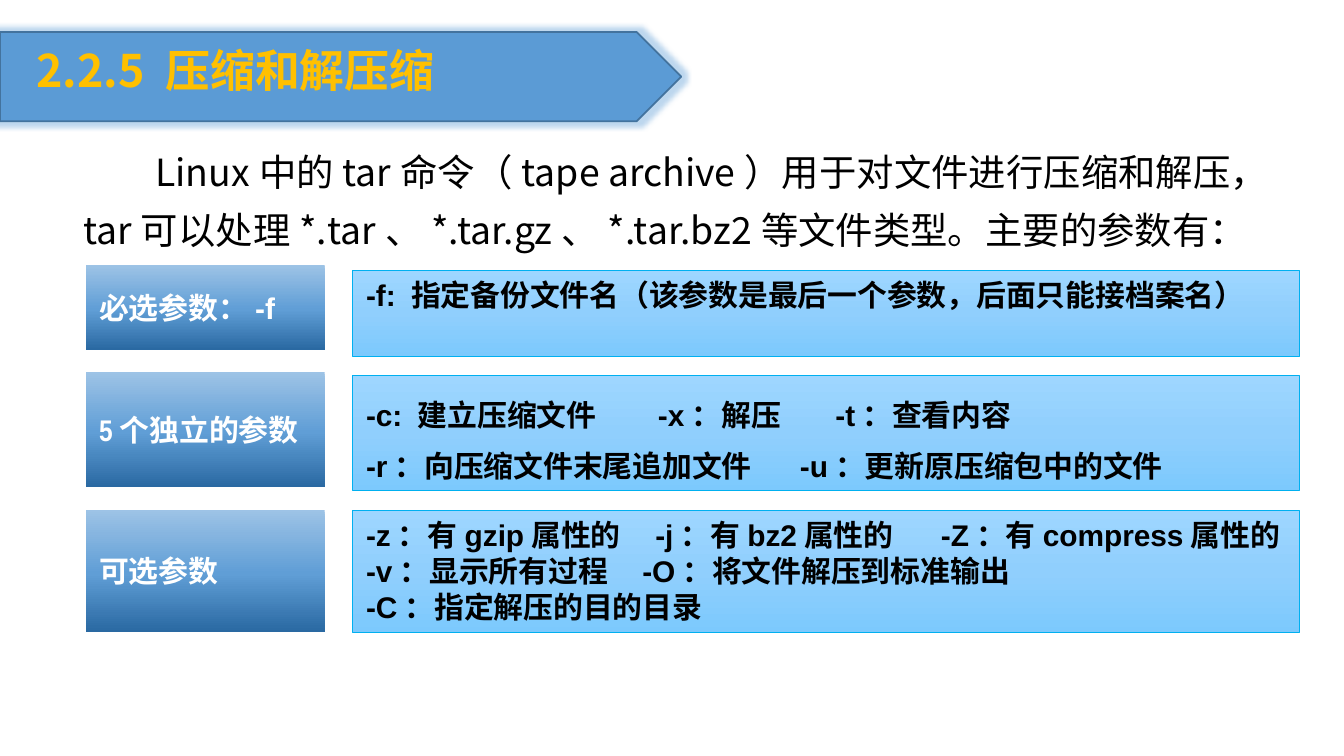
from copy import deepcopy

from pptx import Presentation
from pptx.dml.color import RGBColor
from pptx.enum.shapes import MSO_SHAPE
from pptx.enum.text import MSO_ANCHOR, MSO_AUTO_SIZE, PP_ALIGN
from pptx.oxml import parse_xml
from pptx.oxml.ns import nsdecls, qn
from pptx.util import Pt

RECTANGLE, PENTAGON = MSO_SHAPE.RECTANGLE, MSO_SHAPE.PENTAGON
TOP, MIDDLE = MSO_ANCHOR.TOP, MSO_ANCHOR.MIDDLE
LEFT = PP_ALIGN.LEFT
NO_AUTOFIT = MSO_AUTO_SIZE.NONE

CJK, ARIAL, NARROW = "Noto Sans CJK SC", "Arial", "Arial Narrow"
COLORS = {
    "banner": "5B9BD5",
    "banner_edge": "43739E",
    "title": "FFC000",
    "text": "000000",
    "label_text": "FFFFFF",
    "detail_edge": "00B0F0",
}
LABEL_STOPS = [(0, "9DC3E6"), (0.52, "609ED6"), (1, "2A69A2")]
DETAIL_STOPS = [(0, "9ED6FF"), (0.5, "90CFFD"), (1, "7CC9FD")]

LABEL_LEFT, LABEL_WIDTH = 46, 128
DETAIL_LEFT, DETAIL_WIDTH = 189, 507

TITLE = "2.2.5 压缩和解压缩"
INTRO = (
    "Linux中的tar命令（tape archive）用于对文件进行压缩和解压，"
    "tar可以处理*.tar、*.tar.gz、*.tar.bz2等文件类型。主要的参数有："
)
PARAMETER_ROWS = [
    {
        "label": [("必选参数：", NARROW), ("-f", ARIAL)],
        "label_span": (142, 45.5),
        "detail_span": (144.8, 46),
        "lines": [("-f: 指定备份文件名（该参数是最后一个参数，后面只能接档案名）", [])],
        "spacing": None,
    },
    {
        "label": [("5个独立的参数", NARROW)],
        "label_span": (199.5, 61.5),
        "detail_span": (201.4, 61.6),
        "lines": [
            ("-c: 建立压缩文件\t-x：解压\t-t：查看内容", [156.4, 251.5]),
            ("-r：向压缩文件末尾追加文件\t-u：更新原压缩包中的文件", [232.5]),
        ],
        "spacing": Pt(27),
    },
    {
        "label": [("可选参数", NARROW)],
        "label_span": (273.2, 65.4),
        "detail_span": (273.5, 65.5),
        "lines": [
            ("-z：有gzip属性的\t-j：有bz2属性的\t-Z：有compress属性的", [155, 308]),
            ("-v：显示所有过程\t-O：将文件解压到标准输出", [148]),
            ("-C：指定解压的目的目录", []),
        ],
        "spacing": None,
    },
]


def rgb(name):
    return RGBColor.from_string(COLORS[name])


def style_run(run, size, font, color, bold=True):
    run.font.size = Pt(size)
    run.font.name = font
    run.font.bold = bold
    run.font.color.rgb = rgb(color)
    east_asian = parse_xml(f'<a:ea {nsdecls("a")} typeface="{CJK}"/>')
    run.font._element.find(qn("a:latin")).addnext(east_asian)


def place(shape, left, top, width, height):
    shape.left, shape.top = Pt(left), Pt(top)
    shape.width, shape.height = Pt(width), Pt(height)


def fill_placeholder(placeholder, text, bounds, anchor):
    place(placeholder, *bounds)
    frame = placeholder.text_frame
    frame.text = text
    frame.word_wrap = True
    frame.auto_size = NO_AUTOFIT
    frame.vertical_anchor = anchor
    paragraph = frame.paragraphs[0]
    paragraph.alignment = LEFT
    paragraph.space_before = Pt(0)
    return paragraph


def add_title(slide):
    paragraph = fill_placeholder(slide.shapes.title, TITLE, (12.2, 19.4, 316, 36), MIDDLE)
    style_run(paragraph.runs[0], 24, CJK, "title")


def add_intro(slide):
    paragraph = fill_placeholder(slide.placeholders[1], INTRO, (37.4, 69.1, 635, 72), TOP)
    paragraph.line_spacing = 1.3
    properties = paragraph._p.get_or_add_pPr()
    properties.set("marL", "0")
    properties.set("indent", str(Pt(38.6)))
    properties.append(parse_xml(f'<a:buNone {nsdecls("a")}/>'))
    style_run(paragraph.runs[0], 20, CJK, "text", bold=False)


def add_banner(slide):
    banner = slide.shapes.add_shape(PENTAGON, 0, Pt(17.2), Pt(365), Pt(47.8))
    banner.fill.solid()
    banner.fill.fore_color.rgb = rgb("banner")
    banner.line.color.rgb = rgb("banner_edge")
    banner.line.width = Pt(1)
    banner.shadow.inherit = False
    glow = parse_xml(
        f'<a:glow {nsdecls("a")} rad="{Pt(5)}"><a:srgbClr val="{COLORS["banner"]}">'
        '<a:alpha val="40000"/></a:srgbClr></a:glow>'
    )
    banner.element.spPr.find(qn("a:effectLst")).append(glow)
    banner.element.getparent().insert(2, banner.element)


def add_gradient_box(slide, bounds, stops, anchor):
    box = slide.shapes.add_shape(RECTANGLE, *(Pt(length) for length in bounds))
    box.shadow.inherit = False
    box.fill.gradient()
    box.fill.gradient_angle = 270
    stop_list = box.element.spPr.find(".//" + qn("a:gsLst"))
    stop_list.append(deepcopy(stop_list[0]))
    for stop, (position, color) in zip(box.fill.gradient_stops, stops):
        stop.position = position
        stop.color.rgb = RGBColor.from_string(color)
    box.text_frame.word_wrap = True
    box.text_frame.vertical_anchor = anchor
    return box


def add_label(slide, row):
    top, height = row["label_span"]
    label = add_gradient_box(slide, (LABEL_LEFT, top, LABEL_WIDTH, height), LABEL_STOPS, MIDDLE)
    label.line.fill.background()
    paragraph = label.text_frame.paragraphs[0]
    paragraph.alignment = LEFT
    for text, font in row["label"]:
        run = paragraph.add_run()
        run.text = text
        style_run(run, 16, font, "label_text")


def set_tabs(paragraph, positions):
    stops = "".join(f'<a:tab pos="{Pt(position)}" algn="l"/>' for position in positions)
    tabs = parse_xml(f'<a:tabLst {nsdecls("a")}>{stops}</a:tabLst>')
    paragraph._p.get_or_add_pPr().append(tabs)


def add_detail(slide, row):
    top, height = row["detail_span"]
    detail = add_gradient_box(slide, (DETAIL_LEFT, top, DETAIL_WIDTH, height), DETAIL_STOPS, TOP)
    detail.line.color.rgb = rgb("detail_edge")
    detail.line.width = Pt(0.5)
    frame = detail.text_frame
    frame.text = "\n".join(text for text, _ in row["lines"])
    for paragraph, (_, tab_positions) in zip(frame.paragraphs, row["lines"]):
        paragraph.alignment = LEFT
        paragraph.line_spacing = row["spacing"]
        if tab_positions:
            set_tabs(paragraph, tab_positions)
        for run in paragraph.runs:
            style_run(run, 16, ARIAL, "text")


def main():
    presentation = Presentation()
    presentation.slide_width, presentation.slide_height = Pt(720), Pt(405)
    slide = presentation.slides.add_slide(presentation.slide_layouts[1])
    add_banner(slide)
    add_title(slide)
    add_intro(slide)
    for row in PARAMETER_ROWS:
        add_label(slide, row)
        add_detail(slide, row)
    presentation.save("out.pptx")


if __name__ == "__main__":
    main()
